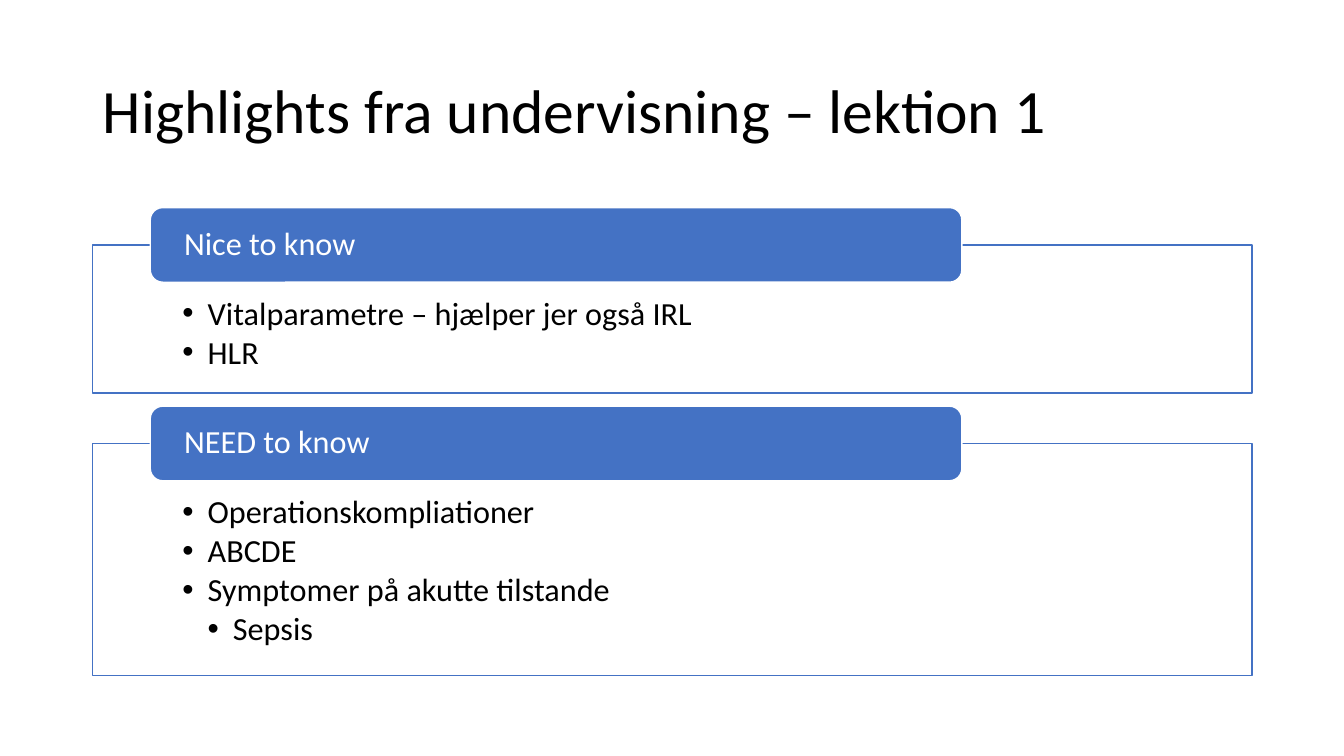
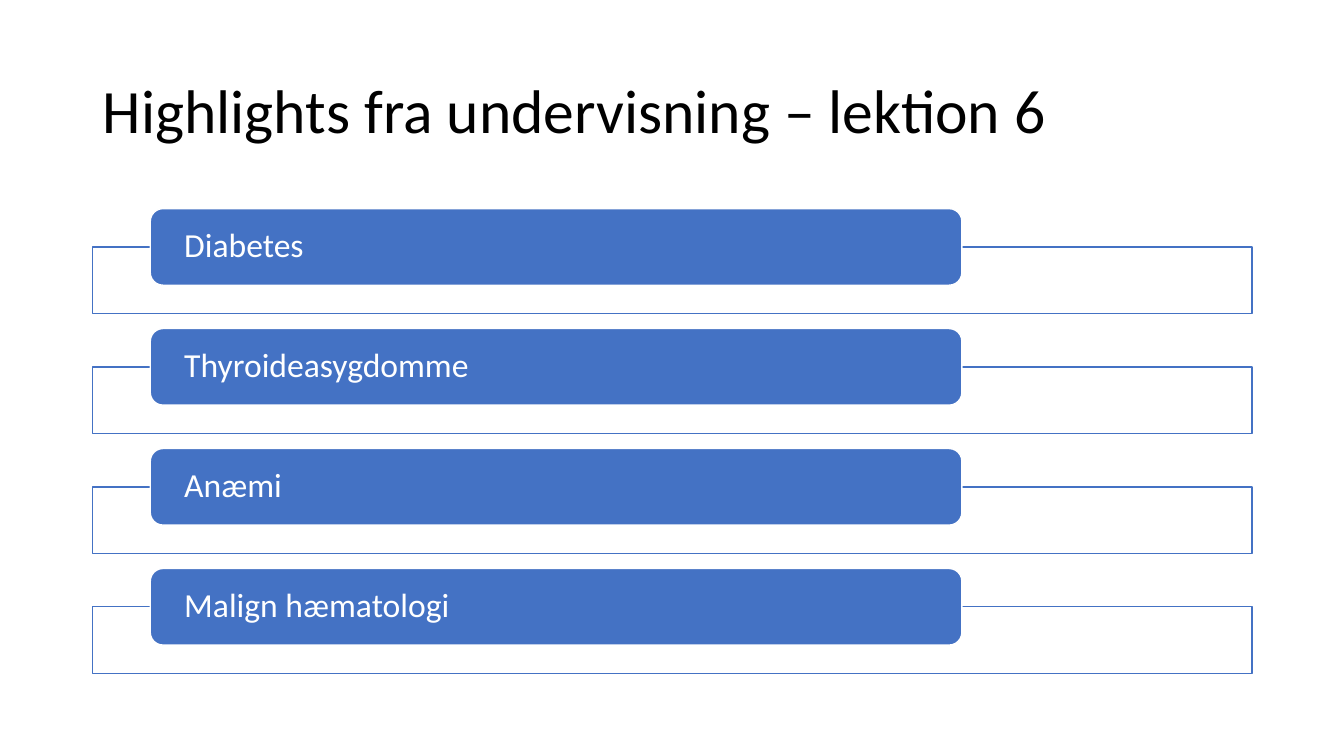
import pptx
import pptx.dml.color
import pptx.enum.shapes
import pptx.enum.text
import pptx.oxml.ns
import pptx.util
from lxml import etree

Inches = pptx.util.Inches
Pt = pptx.util.Pt

BLUE = pptx.dml.color.RGBColor(0x44, 0x72, 0xC4)
WHITE = pptx.dml.color.RGBColor(0xFF, 0xFF, 0xFF)
BLACK = pptx.dml.color.RGBColor(0x00, 0x00, 0x00)

LESSONS = [
    {
        "title": "Highlights fra undervisning – lektion 1",
        "top": 2.06,
        "header_height": 0.74,
        "gap": 0.13,
        "size": 23,
        "sections": [
            ("Nice to know", 1.47, [("Vitalparametre – hjælper jer også IRL", 0), ("HLR", 0)]),
            ("NEED to know", 2.3, [
                ("Operationskompliationer", 0),
                ("ABCDE", 0),
                ("Symptomer på akutte tilstande", 0),
                ("Sepsis", 1),
            ]),
        ],
    },
    {
        "title": "Highlights fra undervisning – lektion 6",
        "top": 2.07,
        "header_height": 0.76,
        "gap": 0.15,
        "size": 24,
        "sections": [
            (name, 0.66, [])
            for name in ("Diabetes", "Thyroideasygdomme", "Anæmi", "Malign hæmatologi")
        ],
    },
]


class Deck:
    font_name = "Calibri"
    title_size = 44
    line_spacing = 0.9
    left, width = 0.92, 11.5
    header_left, header_width = 1.49, 8.05
    bullet_indent = 0.25

    def __init__(self):
        self.presentation = pptx.Presentation()
        self.presentation.slide_width = Inches(13.33)
        self.presentation.slide_height = Inches(7.5)
        self.slide = None

    def style_paragraph(self, paragraph, size, color):
        paragraph.alignment = pptx.enum.text.PP_ALIGN.LEFT
        paragraph.line_spacing = self.line_spacing
        paragraph.font.name = self.font_name
        paragraph.font.size = Pt(size)
        paragraph.font.color.rgb = color

    def add_slide(self, title):
        layout = self.presentation.slide_layouts.get_by_name("Title Only")
        self.slide = self.presentation.slides.add_slide(layout)
        shape = self.slide.shapes.title
        shape.left, shape.top = Inches(self.left), Inches(0.4)
        shape.width, shape.height = Inches(self.width), Inches(1.45)
        shape.text_frame.text = title
        shape.text_frame.vertical_anchor = pptx.enum.text.MSO_ANCHOR.MIDDLE
        self.style_paragraph(shape.text_frame.paragraphs[0], self.title_size, BLACK)

    def add_box(self, kind, left, top, width, height, fill, line):
        shape = self.slide.shapes.add_shape(
            kind, Inches(left), Inches(top), Inches(width), Inches(height)
        )
        shape.shadow.inherit = False
        shape.fill.solid()
        shape.fill.fore_color.rgb = fill
        shape.line.color.rgb = line
        shape.line.width = Pt(1)
        return shape

    def set_bullet(self, paragraph, level):
        paragraph.level = level
        properties = paragraph._p.get_or_add_pPr()
        properties.set("marL", str(Inches(self.bullet_indent * (level + 1))))
        properties.set("indent", str(-Inches(self.bullet_indent)))
        qualified = pptx.oxml.ns.qn
        etree.SubElement(properties, qualified("a:buFont"), typeface="Arial")
        etree.SubElement(properties, qualified("a:buChar"), char="•")

    def add_frame(self, top, height, bullets, size):
        shape = self.add_box(
            pptx.enum.shapes.MSO_SHAPE.RECTANGLE,
            self.left, top, self.width, height, WHITE, BLUE,
        )
        if not bullets:
            return
        text_frame = shape.text_frame
        text_frame.vertical_anchor = pptx.enum.text.MSO_ANCHOR.TOP
        text_frame.margin_left = text_frame.margin_right = Inches(0.89)
        text_frame.margin_top = Inches(0.52)
        text_frame.margin_bottom = Inches(0.18)
        text_frame.text = "\n".join(text for text, level in bullets)
        for paragraph, (text, level) in zip(text_frame.paragraphs, bullets):
            self.set_bullet(paragraph, level)
            self.style_paragraph(paragraph, size, BLACK)
            paragraph.space_after = Pt(3)

    def add_header(self, top, height, text, size):
        shape = self.add_box(
            pptx.enum.shapes.MSO_SHAPE.ROUNDED_RECTANGLE,
            self.header_left, top, self.header_width, height, BLUE, WHITE,
        )
        text_frame = shape.text_frame
        text_frame.margin_left = text_frame.margin_right = Inches(0.3)
        text_frame.margin_top = text_frame.margin_bottom = 0
        text_frame.vertical_anchor = pptx.enum.text.MSO_ANCHOR.MIDDLE
        text_frame.text = text
        self.style_paragraph(text_frame.paragraphs[0], size, WHITE)

    def add_sections(self, sections, top, header_height, gap, size):
        for heading, frame_height, bullets in sections:
            frame_top = top + header_height / 2
            self.add_frame(frame_top, frame_height, bullets, size)
            self.add_header(top, header_height, heading, size)
            top = frame_top + frame_height + gap


def main():
    deck = Deck()
    for lesson in LESSONS:
        deck.add_slide(lesson["title"])
        deck.add_sections(
            lesson["sections"], lesson["top"], lesson["header_height"],
            lesson["gap"], lesson["size"],
        )
    deck.presentation.save("out.pptx")


if __name__ == "__main__":
    main()
